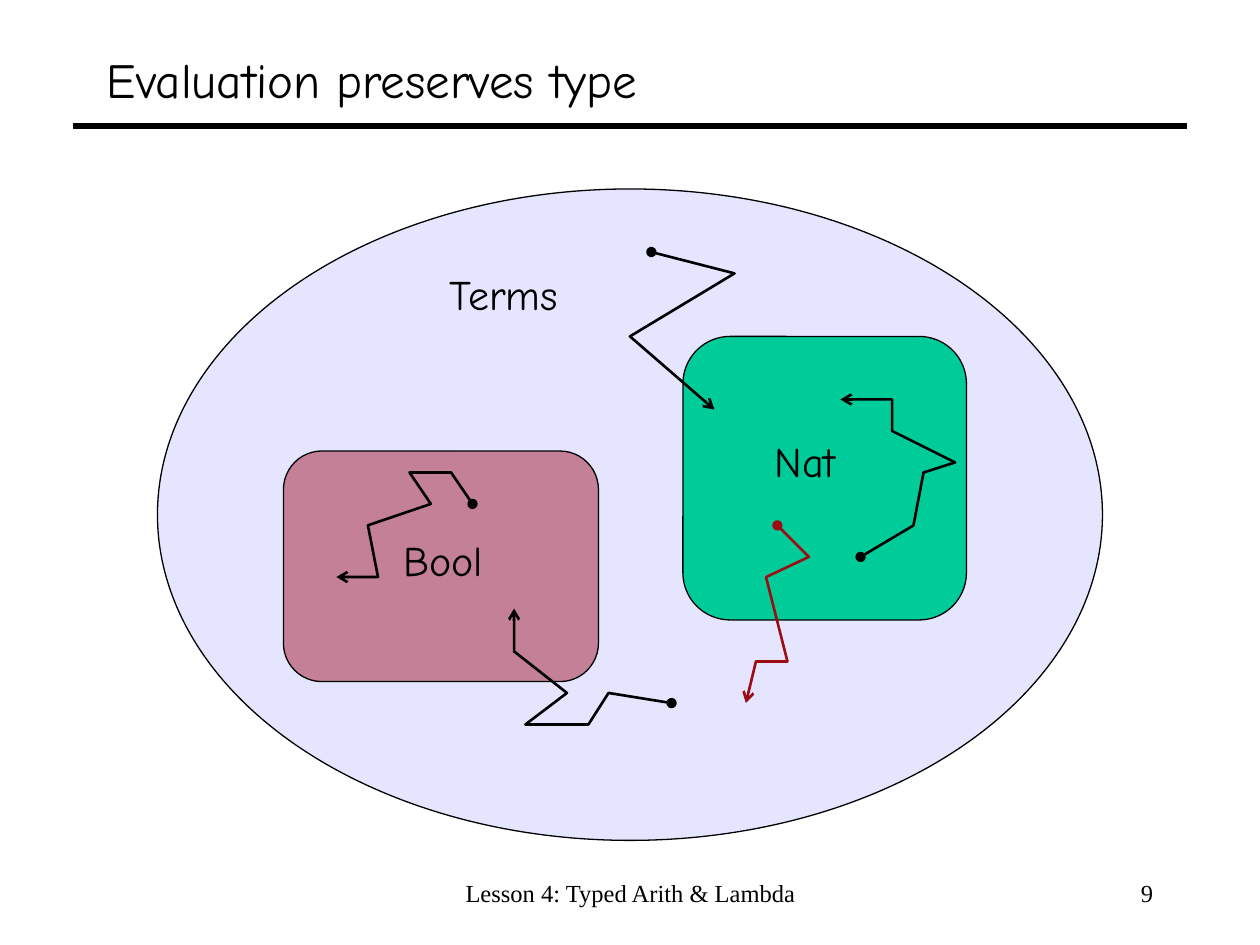
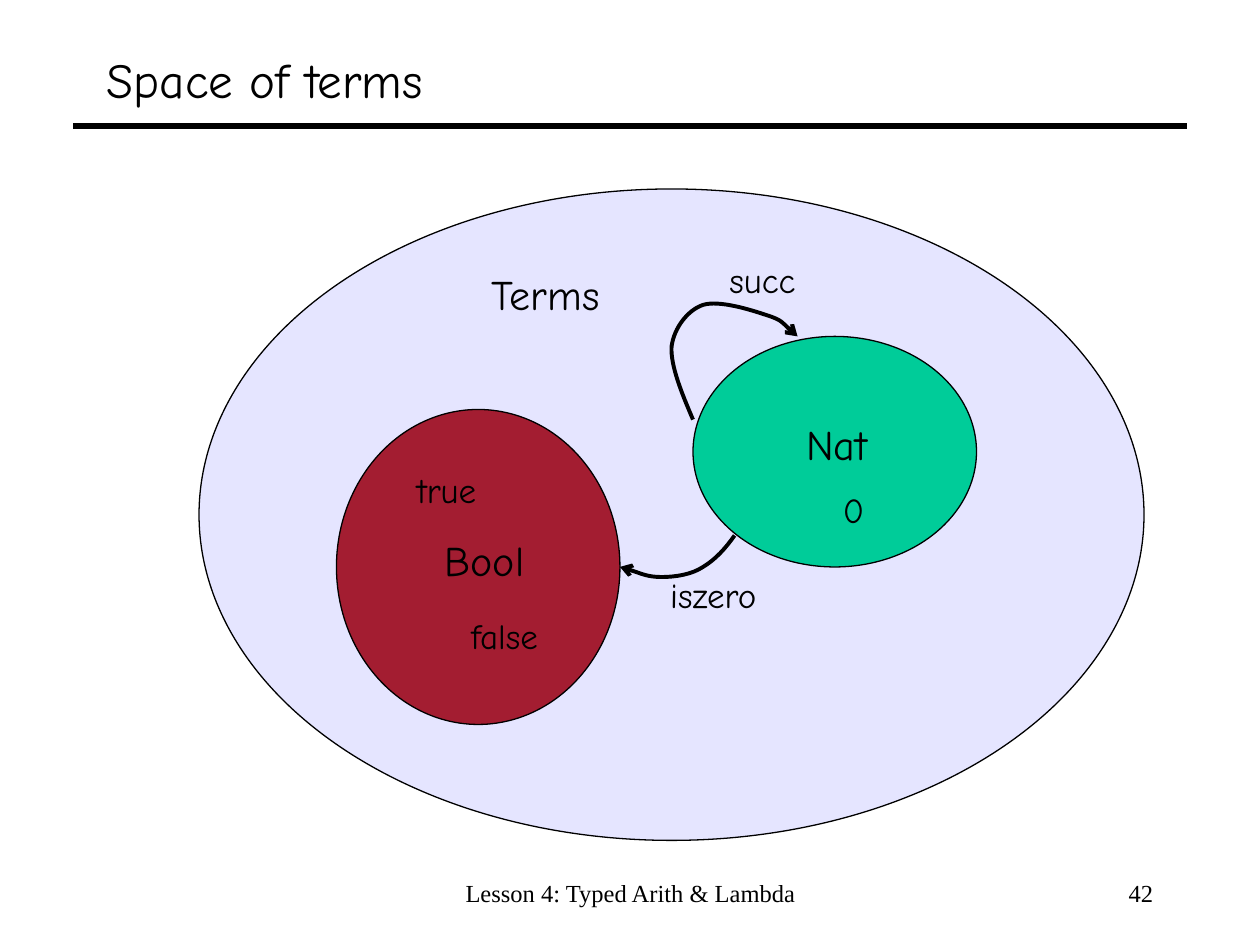
from dataclasses import dataclass

from lxml import etree
from pptx import Presentation
from pptx.dml.color import RGBColor
from pptx.enum import shapes, text
from pptx.oxml.ns import qn
from pptx.util import Inches, Pt


@dataclass(frozen=True)
class Theme:
    ink: str = "000000"
    terms: str = "CCCCFF"
    bool_set: str = "A31D31"
    nat_set: str = "00CC99"
    wrong_step: str = "9C0C13"
    body_font: str = "Comic Neue"
    footer_font: str = "Times New Roman"
    title_size: float = 28
    set_size: float = 24
    term_size: float = 20
    footer_size: float = 14
    rule_width: float = 3
    outline_width: float = 0.75
    step_width: float = 1.5
    curve_width: float = 2.25


THEME = Theme()
FOOTER = "Lesson 4: Typed Arith & Lambda"
OVAL = shapes.MSO_SHAPE.OVAL
ROUNDED = shapes.MSO_SHAPE.ROUNDED_RECTANGLE


def rgb(color):
    return RGBColor.from_string(color)


def add_text(slide, box, words, size, font=THEME.body_font,
             align=text.PP_ALIGN.LEFT, anchor=text.MSO_ANCHOR.TOP, wrap=True):
    shape = slide.shapes.add_textbox(*map(Inches, box))
    frame = shape.text_frame
    frame.word_wrap = wrap
    frame.vertical_anchor = anchor
    if not wrap:
        frame.auto_size = text.MSO_AUTO_SIZE.SHAPE_TO_FIT_TEXT
    paragraph = frame.paragraphs[0]
    paragraph.alignment = align
    run = paragraph.add_run()
    run.text = words
    run.font.name = font
    run.font.size = Pt(size)
    run.font.color.rgb = rgb(THEME.ink)


def add_set_label(slide, left, top, width, words):
    add_text(slide, (left, top, width, 0.5), words, THEME.set_size, wrap=False)


def add_term_label(slide, left, top, width, words):
    add_text(slide, (left, top, width, 0.44), words, THEME.term_size, wrap=False)


def add_region(slide, kind, box, color, opacity=100):
    """Draw an outlined set; opacity is a percentage."""
    shape = slide.shapes.add_shape(kind, *map(Inches, box))
    shape.shadow.inherit = False
    shape.fill.solid()
    shape.fill.fore_color.rgb = rgb(color)
    if opacity < 100:
        fill_color = shape._element.spPr.find(qn("a:solidFill"))[0]
        etree.SubElement(fill_color, qn("a:alpha"), val=str(opacity * 1000))
    shape.line.color.rgb = rgb(THEME.ink)
    shape.line.width = Pt(THEME.outline_width)


def add_path(slide, points, color, width, start_dot=False):
    """Draw an open path that ends in an arrowhead."""
    start, *rest = [(Inches(x), Inches(y)) for x, y in points]
    builder = slide.shapes.build_freeform(*start)
    builder.add_line_segments(rest, close=False)
    shape = builder.convert_to_shape()
    shape.shadow.inherit = False
    shape.fill.background()
    shape.line.color.rgb = rgb(color)
    shape.line.width = Pt(width)
    outline = shape._element.spPr.find(qn("a:ln"))
    if start_dot:
        etree.SubElement(outline, qn("a:headEnd"), type="oval")
    etree.SubElement(outline, qn("a:tailEnd"), type="arrow")
    return shape


def add_evaluation(slide, points, color=THEME.ink):
    add_path(slide, points, color, THEME.step_width, start_dot=True)


def add_curve(slide, points):
    """Draw a Bezier path: a start, then two controls and an end per piece."""
    shape = add_path(slide, points, THEME.ink, THEME.curve_width)
    outline = shape._element.spPr.find(".//" + qn("a:path"))
    segments = outline.findall(qn("a:lnTo"))
    for first in range(0, len(segments), 3):
        bezier = etree.SubElement(outline, qn("a:cubicBezTo"))
        for segment in segments[first:first + 3]:
            bezier.append(segment[0])
            outline.remove(segment)


def add_base_slide(presentation, title, number):
    slide = presentation.slides.add_slide(presentation.slide_layouts[6])
    rule = slide.shapes.add_connector(
        shapes.MSO_CONNECTOR.STRAIGHT, Inches(0.58), Inches(1), Inches(9.42), Inches(1))
    rule.line.color.rgb = rgb(THEME.ink)
    rule.line.width = Pt(THEME.rule_width)
    etree.SubElement(rule._element.spPr, qn("a:effectLst"))
    add_text(slide, (3.42, 6.92, 3.17, 0.42), FOOTER, THEME.footer_size,
             THEME.footer_font, text.PP_ALIGN.CENTER)
    add_text(slide, (7.17, 6.92, 2.08, 0.42), str(number), THEME.footer_size,
             THEME.footer_font, text.PP_ALIGN.RIGHT)
    add_text(slide, (0.75, 0.25, 8.5, 0.75), title, THEME.title_size,
             anchor=text.MSO_ANCHOR.MIDDLE)
    return slide


def add_terms(slide, left):
    """Draw the set of all terms, with its label at a fixed offset."""
    add_region(slide, OVAL, (left, 1.5, 7.5, 5.17), THEME.terms, opacity=50)
    add_set_label(slide, left + 2.22, 2.08, 1.1, "Terms")


def build_evaluation_slide(presentation):
    slide = add_base_slide(presentation, "Evaluation preserves type", 9)
    add_terms(slide, 1.25)

    add_region(slide, ROUNDED, (2.25, 3.58, 2.5, 1.83), THEME.bool_set, opacity=50)
    add_set_label(slide, 3.1, 4.19, 0.85, "Bool")
    add_evaluation(slide, [(5.33, 5.58), (4.83, 5.5), (4.67, 5.75), (4.17, 5.75),
                           (4.5, 5.5), (4.08, 5.17), (4.08, 4.83)])
    add_evaluation(slide, [(3.75, 4), (3.58, 3.75), (3.25, 3.75), (3.42, 4),
                           (2.92, 4.17), (3, 4.58), (2.67, 4.58)])

    add_region(slide, ROUNDED, (5.42, 2.67, 2.25, 2.25), THEME.nat_set)
    add_set_label(slide, 6.05, 3.41, 0.72, "Nat")
    add_evaluation(slide, [(5.17, 2), (5.83, 2.17), (5, 2.67), (5.67, 3.25)])
    add_evaluation(slide, [(6.83, 4.42), (7.25, 4.17), (7.33, 3.75), (7.58, 3.67),
                           (7.08, 3.42), (7.08, 3.17), (6.67, 3.17)])
    add_evaluation(slide, [(6.17, 4.17), (6.42, 4.42), (6.08, 4.58), (6.25, 5.25),
                           (6, 5.25), (5.92, 5.58)], THEME.wrong_step)


def build_terms_slide(presentation):
    slide = add_base_slide(presentation, "Space of terms", 42)
    add_terms(slide, 1.58)

    add_region(slide, OVAL, (2.67, 3.25, 2.25, 2.5), THEME.bool_set)
    add_set_label(slide, 3.43, 4.19, 0.85, "Bool")
    add_term_label(slide, 3.21, 3.67, 0.7, "true")
    add_term_label(slide, 3.64, 4.83, 0.76, "false")

    add_region(slide, OVAL, (5.5, 2.67, 2.25, 1.83), THEME.nat_set)
    add_set_label(slide, 6.3, 3.27, 0.72, "Nat")
    add_term_label(slide, 6.59, 3.83, 0.38, "0")

    add_curve(slide, [(5.5, 3.33),
                      (5.41, 3.12), (5.32, 2.9), (5.33, 2.75),
                      (5.35, 2.6), (5.46, 2.46), (5.58, 2.42),
                      (5.71, 2.38), (5.96, 2.46), (6.08, 2.5),
                      (6.21, 2.54), (6.29, 2.64), (6.33, 2.67)])
    add_term_label(slide, 5.69, 2, 0.76, "succ")
    add_curve(slide, [(5.83, 4.25),
                      (5.76, 4.35), (5.68, 4.44), (5.58, 4.5),
                      (5.49, 4.56), (5.36, 4.58), (5.25, 4.58),
                      (5.14, 4.58), (4.97, 4.51), (4.92, 4.5)])
    add_term_label(slide, 5.22, 4.5, 0.91, "iszero")


def main():
    presentation = Presentation()
    presentation.slide_width = Inches(10)
    presentation.slide_height = Inches(7.5)
    build_evaluation_slide(presentation)
    build_terms_slide(presentation)
    presentation.save("out.pptx")


if __name__ == "__main__":
    main()
